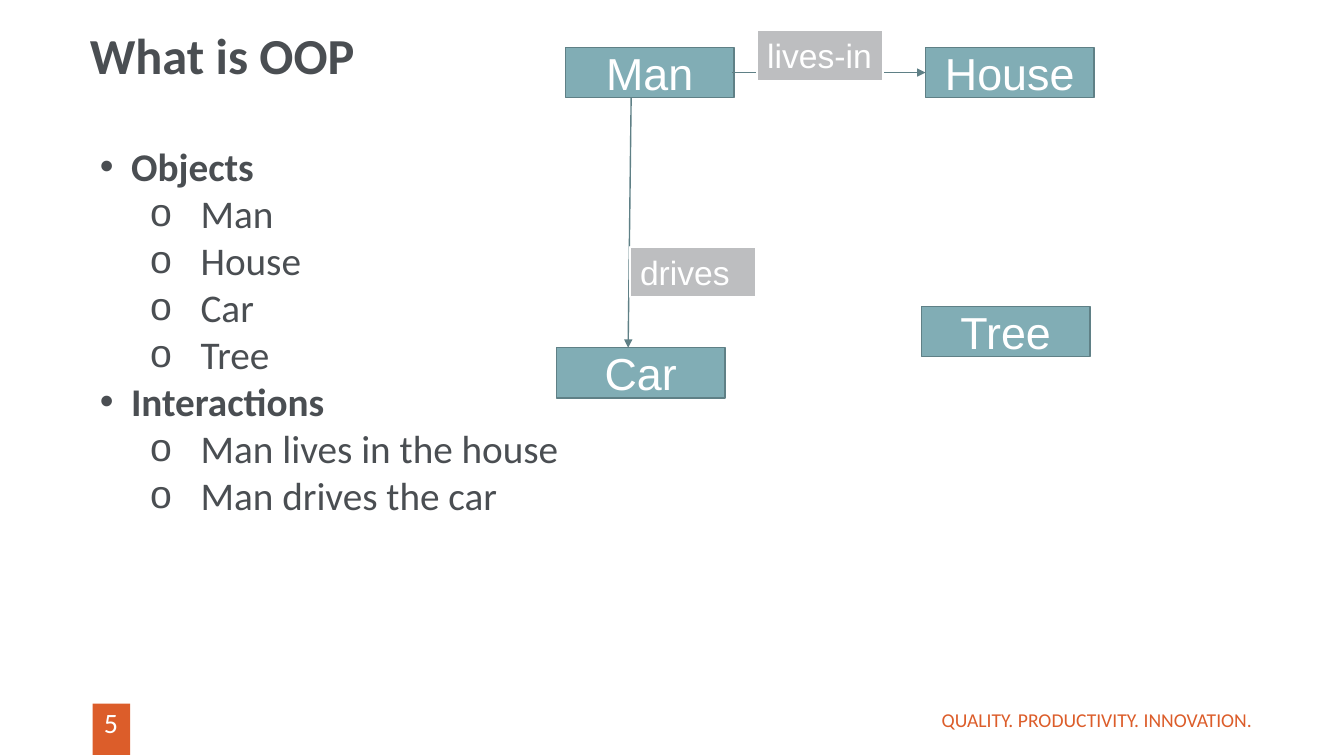
from lxml.etree import SubElement
from pptx import Presentation
from pptx.dml.color import RGBColor
from pptx.enum.shapes import MSO_CONNECTOR as Connector, MSO_SHAPE as Shape
from pptx.enum.text import MSO_ANCHOR as Anchor, MSO_AUTO_SIZE as AutoSize, PP_ALIGN as Align
from pptx.oxml.ns import qn
from pptx.util import Pt

PX = 9144  # EMU per px, 100 px to the inch
WHITE = RGBColor(0xFF, 0xFF, 0xFF)
ORANGE = RGBColor(0xDC, 0x5D, 0x2A)
DARK = RGBColor(0x4A, 0x4E, 0x52)
TEAL = RGBColor(0x81, 0xAD, 0xB5)
TEAL_EDGE = RGBColor(0x5F, 0x80, 0x86)
GREY = RGBColor(0xBD, 0xBE, 0xC0)

OUTLINE = [
    ("Objects", ["Man", "House", "Car", "Tree"]),
    ("Interactions", ["Man lives in the house", "Man drives the car"]),
]
NODE_SIZE = (167, 50)
LABEL_SIZE = (125, 50)
NODES = {"Man": (561, 47), "Car": (552, 345), "House": (918, 47), "Tree": (914, 304)}
LABELS = {"lives-in": (751, 30), "drives": (625, 245)}
ARROWS = [((726, 72), (918, 72)), ((626, 97), (623, 345))]


def px(*lengths):
    return [length * PX for length in lengths]


def place(shape, box):
    shape.left, shape.top, shape.width, shape.height = px(*box)


def set_insets(text_frame, left, top, right, bottom):
    (text_frame.margin_left, text_frame.margin_top,
     text_frame.margin_right, text_frame.margin_bottom) = px(left, top, right, bottom)


def format_paragraph(paragraph, size, color, font="Calibri", align=Align.LEFT, bold=False):
    paragraph.alignment = align
    for run in paragraph.runs:
        run.font.name = font
        run.font.size = Pt(size)
        run.font.bold = bold
        run.font.color.rgb = color


def set_bullet(paragraph, character, margin, hanging):
    properties = paragraph._p.get_or_add_pPr()
    properties.set("marL", str(margin * PX))
    properties.set("indent", str(-hanging * PX))
    SubElement(properties, qn("a:buFont"), typeface="Arial")
    SubElement(properties, qn("a:buChar"), char=character)


def add_rectangle(slide, box, fill, edge=None, edge_width=1):
    rectangle = slide.shapes.add_shape(Shape.RECTANGLE, *px(*box))
    rectangle.shadow.inherit = False
    rectangle.fill.solid()
    rectangle.fill.fore_color.rgb = fill
    if edge is None:
        rectangle.line.fill.background()
    else:
        rectangle.line.color.rgb = edge
        rectangle.line.width = Pt(edge_width)
    return rectangle


def add_plain_text(slide, box, text, size, color, align, anchor):
    text_frame = slide.shapes.add_textbox(*px(*box)).text_frame
    text_frame.word_wrap = True
    text_frame.vertical_anchor = anchor
    set_insets(text_frame, 0, 0, 0, 0)
    text_frame.text = text
    format_paragraph(text_frame.paragraphs[0], size, color, align=align)


def add_footer(slide, box):
    left, top, width, height = box
    add_rectangle(slide, (left + 6, top + 4, 37, 51), ORANGE)
    add_plain_text(slide, (left, top + 6, 48, 34), "5", 20, WHITE, Align.CENTER, Anchor.TOP)
    add_plain_text(slide, (left + width - 407, top, 407, height),
                   "QUALITY. PRODUCTIVITY. INNOVATION.", 14, ORANGE, Align.RIGHT, Anchor.MIDDLE)


def fill_title(slide, box):
    title = slide.shapes.title
    place(title, box)
    text_frame = title.text_frame
    text_frame.text = "What is OOP"
    text_frame.word_wrap = True
    text_frame.auto_size = AutoSize.NONE
    text_frame.vertical_anchor = Anchor.TOP
    set_insets(text_frame, 0, 5, 10, 5)
    paragraph = text_frame.paragraphs[0]
    paragraph.line_spacing = 0.9
    format_paragraph(paragraph, 36, DARK, bold=True)


def fill_outline(slide, box):
    body = slide.placeholders[1]
    place(body, box)
    text_frame = body.text_frame
    lines = [(text, level) for heading, items in OUTLINE
             for text, level in [(heading, 0)] + [(item, 1) for item in items]]
    text_frame.text = "\n".join(text for text, level in lines)
    text_frame.word_wrap = True
    text_frame.auto_size = AutoSize.SHAPE_TO_FIT_TEXT
    text_frame.vertical_anchor = Anchor.TOP
    set_insets(text_frame, 10, 5, 10, 5)
    for paragraph, (text, level) in zip(text_frame.paragraphs, lines):
        paragraph.level = level
        paragraph.space_before = paragraph.space_after = Pt(0)
        paragraph.line_spacing = 1.0
        format_paragraph(paragraph, 28, DARK, bold=level == 0)
        set_bullet(paragraph, *(("•", 31, 31), ("o", 100, 50))[level])


def add_node(slide, box, text):
    node = add_rectangle(slide, box, TEAL, TEAL_EDGE)
    text_frame = node.text_frame
    text_frame.text = text
    text_frame.word_wrap = False
    text_frame.vertical_anchor = Anchor.MIDDLE
    format_paragraph(text_frame.paragraphs[0], 32, WHITE, "Arial", Align.CENTER)


def add_label(slide, box, text):
    label = add_rectangle(slide, box, GREY, WHITE, 1.5)
    text_frame = label.text_frame
    text_frame.text = text
    text_frame.word_wrap = True
    text_frame.auto_size = AutoSize.SHAPE_TO_FIT_TEXT
    text_frame.vertical_anchor = Anchor.TOP
    format_paragraph(text_frame.paragraphs[0], 24, WHITE, "Arial")


def add_arrow(slide, start, end):
    arrow = slide.shapes.add_connector(Connector.STRAIGHT, *px(*start, *end))
    arrow.line.color.rgb = TEAL_EDGE
    arrow.line.width = Pt(1)
    SubElement(arrow.line._get_or_add_ln(), qn("a:tailEnd"), type="triangle")
    SubElement(arrow._element.spPr, qn("a:effectLst"))


def add_diagram(slide, origin):
    """Place nodes, arrows and labels, all given relative to the origin."""
    def shift(point):
        return point[0] - 552 + origin[0], point[1] - 30 + origin[1]

    for text, corner in NODES.items():
        add_node(slide, (*shift(corner), *NODE_SIZE), text)
    for start, end in ARROWS:
        add_arrow(slide, shift(start), shift(end))
    for text, corner in LABELS.items():
        add_label(slide, (*shift(corner), *LABEL_SIZE), text)


def main():
    presentation = Presentation()
    presentation.slide_width, presentation.slide_height = px(1333, 750)
    slide = presentation.slides.add_slide(presentation.slide_layouts[1])
    add_footer(slide, (86, 694, 1156, 40))
    fill_title(slide, (89, 26, 931, 119))
    fill_outline(slide, (89, 136, 1153, 387))
    add_diagram(slide, (552, 30))
    presentation.save("out.pptx")


if __name__ == "__main__":
    main()
